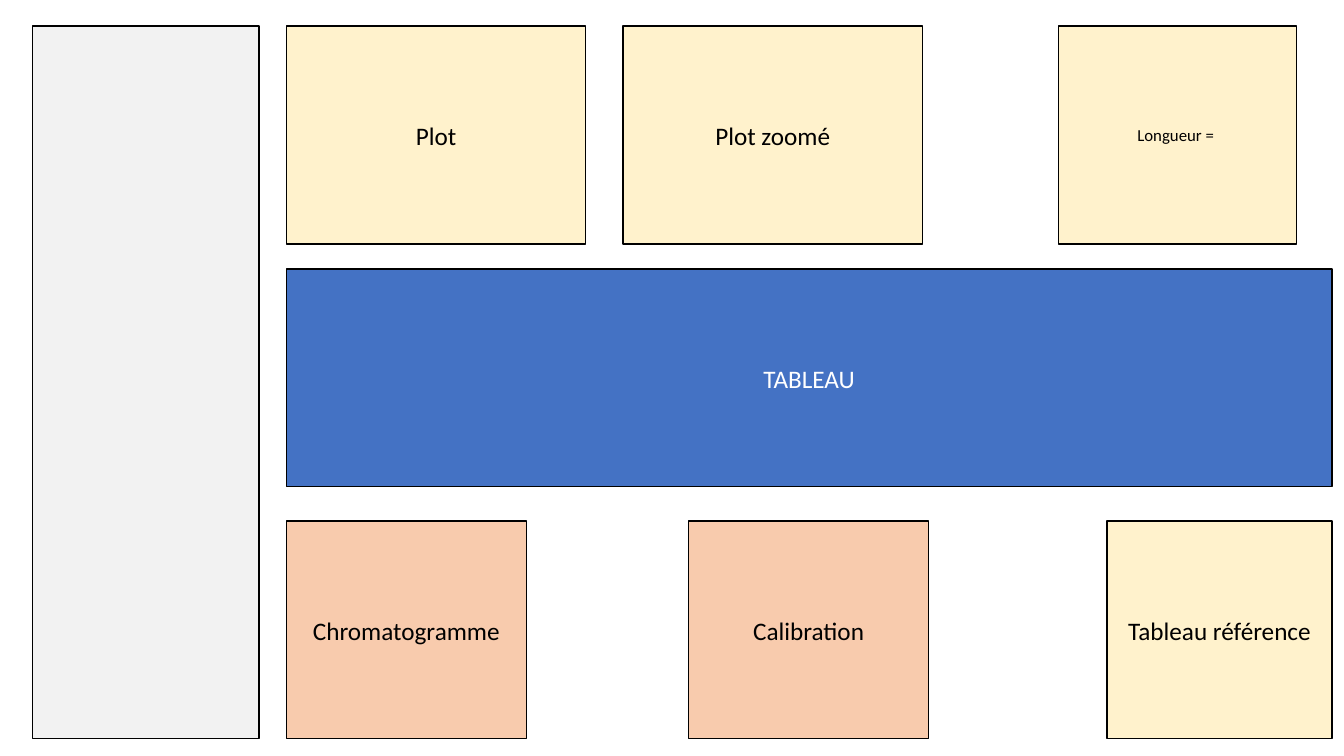
from dataclasses import dataclass

from pptx import Presentation
from pptx.dml.color import RGBColor
from pptx.enum.shapes import MSO_SHAPE
from pptx.enum.text import MSO_ANCHOR, PP_ALIGN
from pptx.util import Inches, Pt

RECTANGLE = MSO_SHAPE.RECTANGLE
MIDDLE = MSO_ANCHOR.MIDDLE
CENTER = PP_ALIGN.CENTER
BLANK_LAYOUT = 6

# Grid, in inches
TOP_ROW, TABLE_ROW, BOTTOM_ROW = 0.26, 2.67, 5.17
ROW_HEIGHT = 2.16
SIDEBAR_LEFT, SIDEBAR_WIDTH = 0.32, 2.25
CONTENT_LEFT, CONTENT_WIDTH = 2.84, 10.37
PLOT_WIDTH, PLOT_GAP = 2.97, 0.37
LENGTH_LEFT, LENGTH_WIDTH = 10.5, 2.36
ANALYSIS_WIDTH, CALIBRATION_LEFT = 2.38, 6.83
REFERENCE_WIDTH = 2.23


@dataclass(frozen=True)
class Theme:
    font: str = "Calibri"
    label_size: int = 18
    small_size: int = 12
    line_width: int = 1
    black: str = "000000"
    white: str = "FFFFFF"
    gray: str = "F2F2F2"
    blue: str = "4472C4"
    yellow: str = "FFF2CC"
    orange: str = "F8CBAD"


THEME = Theme()


def add_panel(slide, left, top, width, height, fill):
    panel = slide.shapes.add_shape(
        RECTANGLE, Inches(left), Inches(top), Inches(width), Inches(height))
    panel.shadow.inherit = False
    panel.fill.solid()
    panel.fill.fore_color.rgb = RGBColor.from_string(fill)
    panel.line.color.rgb = RGBColor.from_string(THEME.black)
    panel.line.width = Pt(THEME.line_width)
    return panel


def add_label(panel, text, size=THEME.label_size, color=THEME.black):
    frame = panel.text_frame
    frame.word_wrap = True
    frame.vertical_anchor = MIDDLE
    para = frame.paragraphs[0]
    para.alignment = CENTER
    span = para.add_run()
    span.text = text
    span.font.name = THEME.font
    span.font.size = Pt(size)
    span.font.color.rgb = RGBColor.from_string(color)


def add_block(slide, text, left, row, width, fill, **label_style):
    """Add a labelled panel one grid row high."""
    panel = add_panel(slide, left, row, width, ROW_HEIGHT, fill)
    add_label(panel, text, **label_style)


def main():
    deck = Presentation()
    deck.slide_width, deck.slide_height = Inches(13.33), Inches(7.5)
    page = deck.slides.add_slide(deck.slide_layouts[BLANK_LAYOUT])

    sidebar_height = BOTTOM_ROW + ROW_HEIGHT - TOP_ROW
    add_panel(page, SIDEBAR_LEFT, TOP_ROW, SIDEBAR_WIDTH, sidebar_height, THEME.gray)
    add_block(page, "TABLEAU", CONTENT_LEFT, TABLE_ROW, CONTENT_WIDTH,
              THEME.blue, color=THEME.white)

    for column, text in enumerate(("Plot", "Plot zoomé")):
        left = CONTENT_LEFT + column * (PLOT_WIDTH + PLOT_GAP)
        add_block(page, text, left, TOP_ROW, PLOT_WIDTH, THEME.yellow)
    add_block(page, "Longueur = ", LENGTH_LEFT, TOP_ROW, LENGTH_WIDTH,
              THEME.yellow, size=THEME.small_size)

    reference_left = CONTENT_LEFT + CONTENT_WIDTH - REFERENCE_WIDTH
    add_block(page, "Tableau référence", reference_left, BOTTOM_ROW,
              REFERENCE_WIDTH, THEME.yellow)
    for text, left in (("Chromatogramme", CONTENT_LEFT),
                       ("Calibration", CALIBRATION_LEFT)):
        add_block(page, text, left, BOTTOM_ROW, ANALYSIS_WIDTH, THEME.orange)

    deck.save("out.pptx")


if __name__ == "__main__":
    main()
